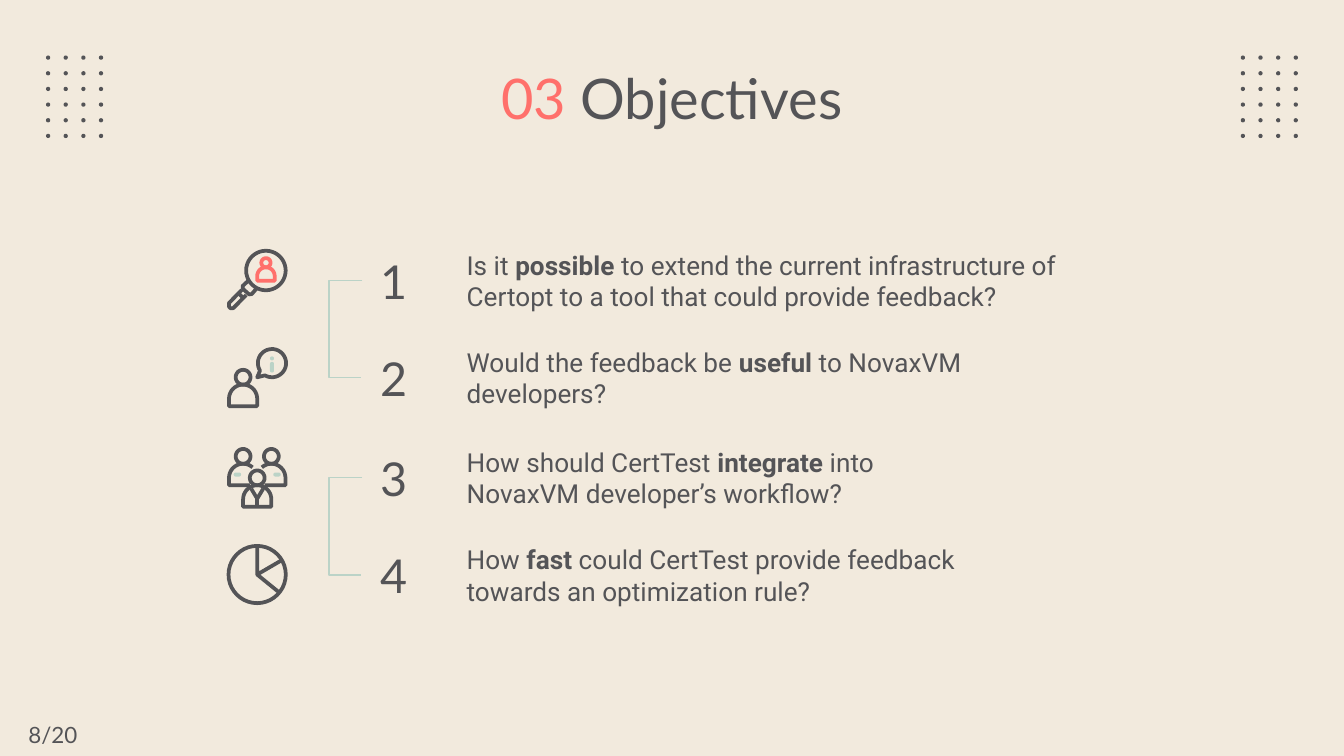
from dataclasses import dataclass
from math import cos, radians, sin

from pptx import Presentation
from pptx.dml.color import RGBColor
from pptx.enum import shapes as kinds, text as txt
from pptx.oxml import parse_xml
from pptx.oxml.ns import nsdecls
from pptx.util import Cm, Pt


@dataclass(frozen=True)
class Theme:
    paper: str = "F2EADD"
    ink: str = "545457"
    red: str = "FF706B"
    green: str = "BBD3C7"
    head: str = "Lato"
    body: str = "Roboto"
    title: int = 30
    num: int = 25
    item: int = 14
    page: int = 12
    stroke: float = 2
    thin: float = 0.75


T = Theme()
UNIT = 0.0254  # icon grid step in cm; an icon is about 46 steps wide
OVAL = kinds.MSO_SHAPE.OVAL


def rgb(code):
    return RGBColor.from_string(code)


# ---- Text and shapes ----
def put(slide, box, words, size, font=T.head, color=T.ink, mark=None,
        align="LEFT", anchor="MIDDLE", pad=(0.25, 0.25)):
    """Write lines of text; parts between asterisks are bold or in the mark colour."""
    frame = slide.shapes.add_textbox(*map(Cm, box)).text_frame
    frame.word_wrap = True
    frame.margin_left = frame.margin_right = Cm(0.25)
    frame.margin_top, frame.margin_bottom = map(Cm, pad)
    frame.vertical_anchor = getattr(txt.MSO_ANCHOR, anchor)
    for i, line in enumerate(words.split("\n")):
        para = frame.add_paragraph() if i else frame.paragraphs[0]
        para.alignment = getattr(txt.PP_ALIGN, align)
        for k, part in enumerate(line.split("*")):
            if not part:
                continue
            run = para.add_run()
            run.text = part
            run.font.size, run.font.name = Pt(size), font
            run.font.bold = bool(k % 2 and not mark)
            run.font.color.rgb = rgb(mark if k % 2 and mark else color)


def blob(parent, kind, box, color):
    shape = parent.shapes.add_shape(kind, *map(Cm, box))
    shape.shadow.inherit = False
    shape.fill.solid()
    shape.fill.fore_color.rgb = rgb(color)
    shape.line.fill.background()
    return shape


# ---- Icon strokes, in grid steps ----
def arc(x, y, r, start=0, end=360):
    n = max(8, int(abs(end - start) / 9))
    turns = [radians(start + (end - start) * i / n) for i in range(n + 1)]
    return [(x + r * cos(a), y + r * sin(a)) for a in turns]


def bust(x, y, s=1):
    """Head and closed shoulders around a head centre."""
    low, r = y + 21.5 * s, 10.5 * s
    dome = arc(x, y + 16 * s, r, 180, 360)
    return [arc(x, y, 5.5 * s), [(x - r, low), *dome, (x + r, low), (x - r, low)]]


def draw(group, box, lines, color=T.ink):
    """Stroke several contours as one outline."""
    left, top = box[:2]
    paths = [[(Cm(left + x * UNIT), Cm(top + y * UNIT)) for x, y in pts] for pts in lines]
    pen = group.shapes.build_freeform(*paths[0][0], scale=1.0)
    for i, pts in enumerate(paths):
        if i:
            pen.move_to(*pts[0])
        pen.add_line_segments(pts[1:], close=False)
    shape = pen.convert_to_shape()
    shape.shadow.inherit = False
    shape.fill.background()
    shape.line.color.rgb = rgb(color)
    shape.line.width = Pt(T.stroke)


def search(group, box):
    draw(group, box, bust(29, 9.7, 0.62), T.red)
    draw(group, box, [
        arc(29, 15.5, 14.7),
        [(16, 23), (11.7, 27), (11.7, 29), (16.5, 33.3), (18.5, 33), (22, 29)],
        [(11, 30), (1.5, 39.7), (1.5, 42.3), (2.5, 43.5), (4.7, 43.5), (14.3, 33.8)],
        [(8.7, 32.5), (11.8, 35.6)]])


def advice(group, box):
    left, top = box[:2]
    draw(group, box, bust(12, 22.5))
    draw(group, box, [[(22.5, 22.5), *arc(33.5, 12, 10.5, 148, 480), (22.5, 22.5)]])
    blob(group, OVAL, (left + 32 * UNIT, top + 7 * UNIT, 3 * UNIT, 3 * UNIT), T.green)
    bar = blob(group, kinds.MSO_SHAPE.ROUNDED_RECTANGLE,
               (left + 32 * UNIT, top + 11 * UNIT, 3 * UNIT, 8 * UNIT), T.green)
    bar.adjustments[0] = 0.5


def team(group, box):
    left, top = box[:2]
    side = [(17, 28.5), (1.5, 28.5), *arc(12, 23, 10.5, 180, 312)]
    pair = [arc(12, 7, 5.5), side]
    pair += [[(45 - x, y) for x, y in pts] for pts in pair]
    coat = [[(18, 31), (22.5, 38.5), (27, 31)], [(22.5, 38.5), (22.5, 44.5)]]
    draw(group, box, pair + bust(22.5, 23) + coat)
    for x in (5, 34.5):
        pill = blob(group, kinds.MSO_SHAPE.ROUNDED_RECTANGLE,
                    (left + x * UNIT, top + 19 * UNIT, 5.5 * UNIT, 3 * UNIT), T.green)
        pill.adjustments[0] = 0.5


def pie(group, box):
    mid = (22.5, 22.5)
    draw(group, box, [arc(*mid, 21.3), [(22.5, 1.5), mid, (40.5, 12)], [mid, (38.5, 35.5)]])


# ---- Regions ----
def dots(slide, box, cols=4, rows=6, size=0.08):
    left, top, wide, high = box
    group = slide.shapes.add_group_shape()
    for r in range(rows):
        for c in range(cols):
            x = left + c * (wide - size) / (cols - 1)
            y = top + r * (high - size) / (rows - 1)
            blob(group, OVAL, (x, y, size, size), T.ink)


def bracket(slide, box):
    left, top, wide, high = box
    tip = 0.03
    right = left + wide
    line = slide.shapes.add_connector(
        kinds.MSO_CONNECTOR.ELBOW,
        Cm(right), Cm(top), Cm(right - tip), Cm(top + high))
    line.line.color.rgb = rgb(T.green)
    line.line.width = Pt(T.thin)
    props = line._element.spPr
    props.append(parse_xml(f"<a:effectLst {nsdecls('a')}/>"))
    # The elbow lies far outside the narrow span between the two ends
    bend = round(wide / tip * 100000)
    props.prstGeom.get_or_add_avLst().append(
        parse_xml(f'<a:gd {nsdecls("a")} name="adj1" fmla="val {bend}"/>'))


def row(slide, box, num, words, icon):
    left, top, wide, high = box
    mid = top + high / 2
    icon(slide.shapes.add_group_shape(), (left, mid - 0.58))
    put(slide, (left + 2.54, top, 1.22, high), str(num), T.num, align="CENTER")
    put(slide, (left + 4.28, top, wide - 4.28, high), words, T.item, font=T.body)


def goals(slide, box, items, step=1.84, gap=3.73):
    left, top, wide, high = box
    for i, (words, icon) in enumerate(items):
        y = top + i // 2 * gap + i % 2 * step
        row(slide, (left, y, wide, high), i + 1, words, icon)
        if i % 2 == 0:
            bracket(slide, (left + 1.93, y + high / 2, 0.63, step))


def main():
    deck = Presentation()
    deck.slide_width, deck.slide_height = Cm(25.4), Cm(14.29)
    slide = deck.slides.add_slide(deck.slide_layouts[6])
    slide.background.fill.solid()
    slide.background.fill.fore_color.rgb = rgb(T.paper)

    # Corner ornaments and title
    for left in (0.87, 23.45):
        dots(slide, (left, 1.05, 1.08, 1.56))
    put(slide, (2, 1.02, 21.4, 1.6), "*03* Objectives", T.title, mark=T.red,
        align="CENTER", anchor="TOP", pad=(0.18, 0.25))

    # Numbered objectives
    goals(slide, (4.29, 4.8, 16.85, 1), [
        ("Is it *possible* to extend the current infrastructure of "
         "Certopt to a tool that could provide feedback?", search),
        ("Would the feedback be *useful* to NovaxVM developers?", advice),
        ("How should CertTest *integrate* into\nNovaxVM developer’s workflow?", team),
        ("How *fast* could CertTest provide feedback\ntowards an optimization rule?", pie),
    ])

    # Page number
    put(slide, (0, 13.51, 2, 0.77), "8/20", T.page, align="CENTER", pad=(0.13, 0.13))
    deck.save("out.pptx")


if __name__ == "__main__":
    main()
